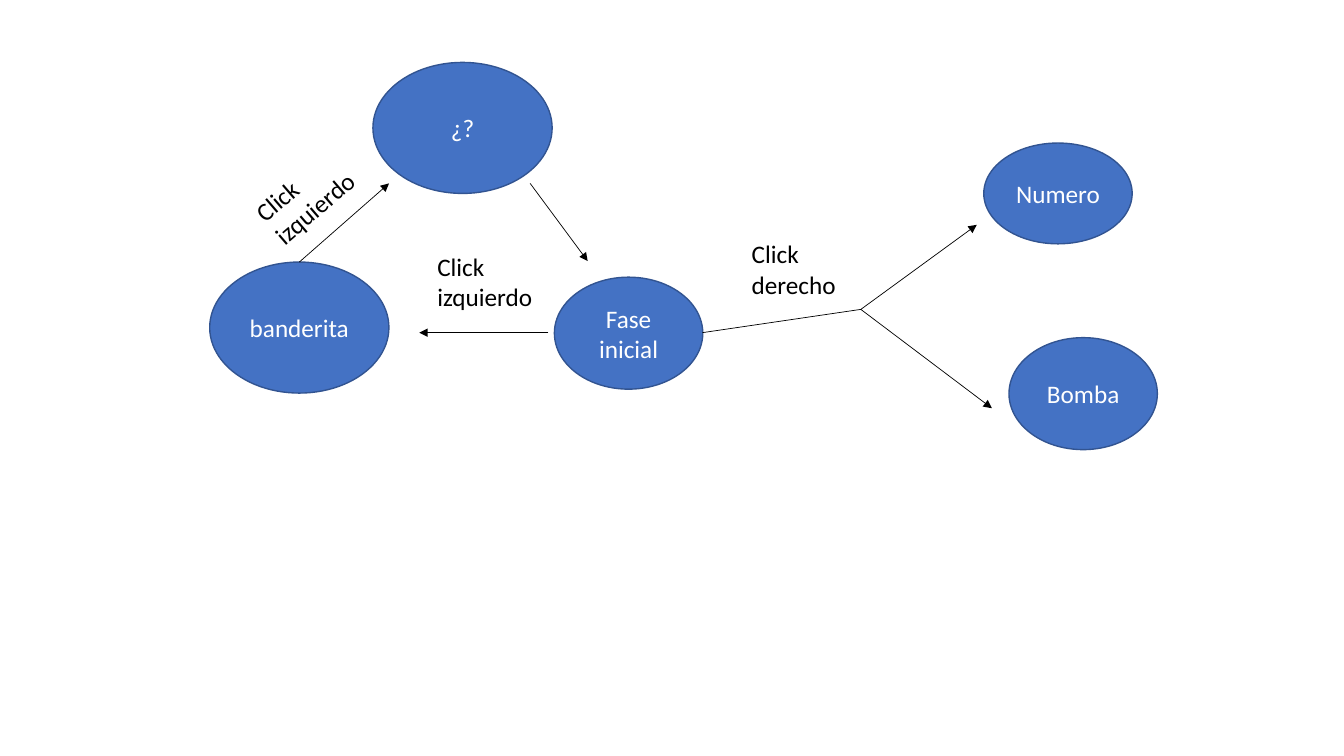
from lxml.etree import SubElement
from pptx import Presentation
from pptx.dml.color import RGBColor
from pptx.enum.shapes import MSO_CONNECTOR, MSO_SHAPE
from pptx.enum.text import MSO_ANCHOR, MSO_AUTO_SIZE, PP_ALIGN
from pptx.oxml.ns import qn
from pptx.util import Pt

COLOURS = {"state": "4472C4", "outline": "325491", "light": "FFFFFF", "dark": "000000"}
LARGE, MEDIUM, SMALL = (128, 93.6), (106, 80), (106, 72)
STATES = [
    ("Fase inicial", 396, 198, MEDIUM),
    ("Bomba", 720.7, 241.2, MEDIUM),
    ("Numero", 702.7, 102.2, SMALL),
    ("banderita", 149.8, 187.2, LARGE),
    ("¿?", 266.4, 44.6, LARGE),
]
FORK = (614.9, 221)
TRANSITIONS = [
    ((501.8, 237.6), FORK, False),
    (FORK, (697.7, 160.6), True),
    (FORK, (708.5, 291.6), True),
    ((391.7, 237.6), (299.5, 237.6), True),
    ((213.8, 187.2), (277.9, 131), True),
    ((378.7, 131), (419.8, 186.5), True),
]
LABELS = [
    ("Click derecho", 529.9, 167, 75, 0),
    ("Click izquierdo", 305.3, 175.7, 84.2, 0),
    ("Click izquierdo", 175, 110.2, 96.5, 319.3),
]


def colour(name):
    """Return the named colour."""
    return RGBColor.from_string(COLOURS[name])


def write(shape, text, colour_name, alignment):
    """Put one run of text into a shape."""
    shape.text_frame.word_wrap = True
    paragraph = shape.text_frame.paragraphs[0]
    paragraph.alignment = alignment
    run = paragraph.add_run()
    run.text = text
    run.font.name = "Calibri"
    run.font.size = Pt(18)
    run.font.color.rgb = colour(colour_name)


def add_state(slide, text, left, top, size):
    """Add an ellipse for one state."""
    width, height = size
    shape = slide.shapes.add_shape(
        MSO_SHAPE.OVAL, Pt(left), Pt(top), Pt(width), Pt(height))
    shape.shadow.inherit = False
    shape.fill.solid()
    shape.fill.fore_color.rgb = colour("state")
    shape.line.color.rgb = colour("outline")
    shape.line.width = Pt(1)
    shape.text_frame.vertical_anchor = MSO_ANCHOR.MIDDLE
    write(shape, text, "light", PP_ALIGN.CENTER)


def add_transition(slide, start, end, has_arrow):
    """Add a straight line, with an arrowhead at its end if wanted."""
    connector = slide.shapes.add_connector(
        MSO_CONNECTOR.STRAIGHT, *(Pt(length) for length in start + end))
    connector.line.color.rgb = colour("dark")
    connector.line.width = Pt(0.5)
    if has_arrow:
        SubElement(connector.line._get_or_add_ln(), qn("a:tailEnd"), type="triangle")
    SubElement(connector._element.spPr, qn("a:effectLst"))


def add_label(slide, text, left, top, width, rotation):
    """Add the text that names a transition."""
    box = slide.shapes.add_textbox(Pt(left), Pt(top), Pt(width), Pt(51))
    box.rotation = rotation
    box.text_frame.auto_size = MSO_AUTO_SIZE.SHAPE_TO_FIT_TEXT
    write(box, text, "dark", PP_ALIGN.LEFT)


def main():
    """Build the state diagram and save it."""
    presentation = Presentation()
    presentation.slide_width = Pt(960)
    presentation.slide_height = Pt(540)
    slide = presentation.slides.add_slide(presentation.slide_layouts[6])
    for state in STATES:
        add_state(slide, *state)
    for transition in TRANSITIONS:
        add_transition(slide, *transition)
    for label in LABELS:
        add_label(slide, *label)
    presentation.save("out.pptx")


main()
